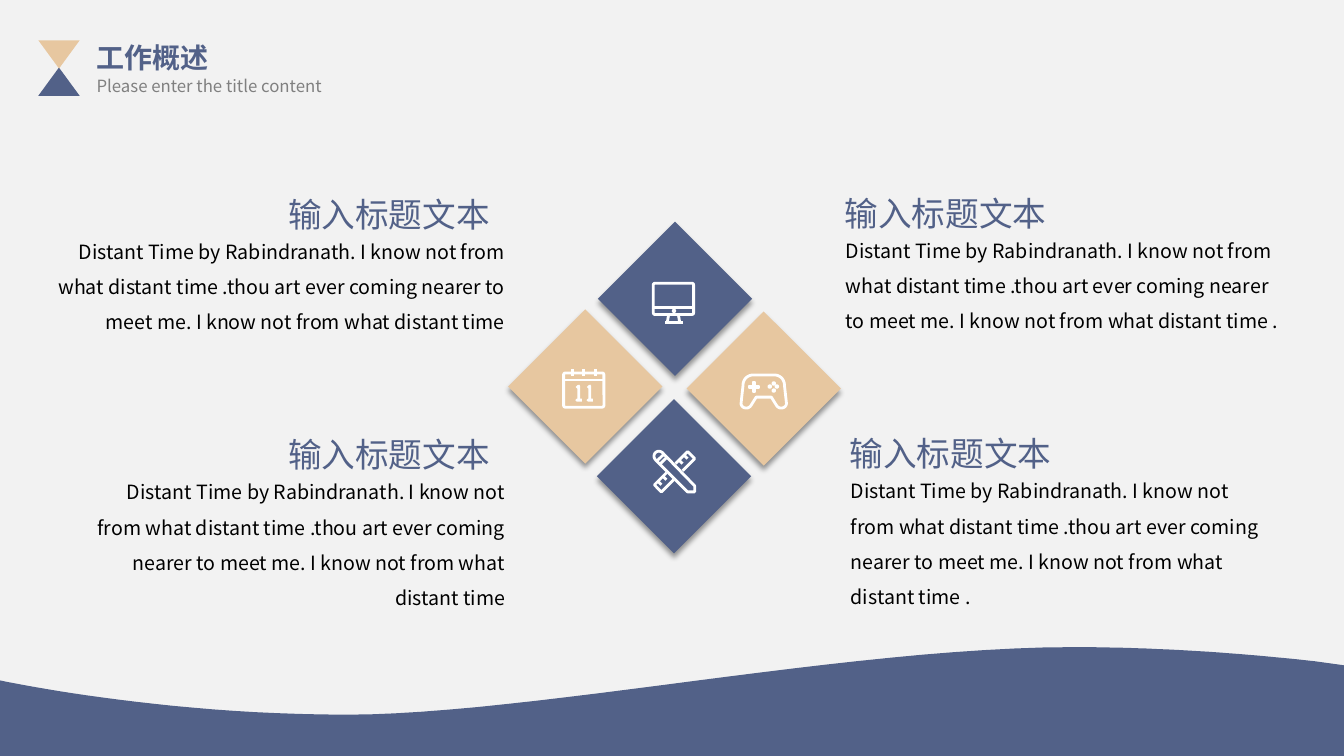
from lxml.etree import SubElement
from pptx import Presentation
from pptx.dml.color import RGBColor
from pptx.enum.shapes import MSO_CONNECTOR as CONN, MSO_SHAPE as SHAPE
from pptx.enum.text import MSO_ANCHOR, MSO_AUTO_SIZE, PP_ALIGN as AL
from pptx.oxml.ns import qn
from pptx.util import Inches, Pt

FONT = "Noto Sans CJK SC"
BLUE = RGBColor(0x52, 0x61, 0x88)
SAND = RGBColor(0xE7, 0xC7, 0xA0)
PAPER = RGBColor(0xF2, 0xF2, 0xF2)
GRAY = RGBColor(0x80, 0x80, 0x80)
WHITE = RGBColor(0xFF, 0xFF, 0xFF)
BLACK = RGBColor(0, 0, 0)

# Content
TITLE = "工作概述"
SUBTITLE = "Please enter the title content"
HEADING = "输入标题文本"
BODY = ("Distant Time by Rabindranath. I know not from what distant time .thou art "
        "ever coming nearer to meet me. I know not from what distant time")
# heading left, top; body left, width; alignment; ending
BLOCKS = [
    (2.76, 1.87, 0.46, 4.65, AL.RIGHT, ""),
    (8.28, 1.86, 8.29, 4.52, AL.LEFT, " ."),
    (2.76, 4.26, 0.71, 4.40, AL.RIGHT, ""),
    (8.33, 4.25, 8.34, 4.40, AL.LEFT, " ."),
]
HEADING_W, HEADING_H, BODY_DROP, BODY_H = 2.37, 0.5, 0.34, 1.51

# Diamonds: left, top, colour
DIAMOND = 1.53
DIAMONDS = [(5.93, 2.2, BLUE), (5.92, 3.96, BLUE), (5.04, 3.07, SAND), (6.81, 3.09, SAND)]

# Paths: a pair is a point, six numbers are a Bezier curve
WAVE = [(10.65, 6.42), (8.4, 6.42, 5.28, 7.09, 3.43, 7.09),
        (1.57, 7.09, 0, 6.75, 0, 6.75), (0, 7.5), (13.33, 7.5), (13.33, 6.6),
        (13.04, 6.56), (12.32, 6.48, 11.49, 6.42, 10.65, 6.42)]
MONITOR = [[(6.63, 3.13), (6.62, 3.19)], [(6.73, 3.13), (6.74, 3.19)],
           [(6.6, 3.2), (6.77, 3.2)], [(6.48, 3.05), (6.88, 3.05)]]
CALENDAR = [[(5.59, 3.77), (5.99, 3.77)]]
CALENDAR += [[(x, 3.66), (x, 3.73)] for x in (5.68, 5.79, 5.91)]
CALENDAR += [[(x - 0.02, 3.85), (x, 3.83), (x, 3.97), (x - 0.02, 3.97), (x + 0.03, 3.97)]
             for x in (5.74, 5.85)]
GAMEPAD = [
    [(7.68, 3.72), (7.73, 3.72, 7.78, 3.76, 7.78, 3.82), (7.8, 4),
     (7.8, 4.05, 7.73, 4.07, 7.7, 4.02), (7.65, 3.94), (7.5, 3.94), (7.45, 4.02),
     (7.42, 4.07, 7.35, 4.05, 7.35, 4), (7.37, 3.82),
     (7.37, 3.76, 7.42, 3.72, 7.47, 3.72), (7.68, 3.72)]]
TOOLS = [
    [(6.57, 4.49), (6.89, 4.82), (6.89, 4.88), (6.82, 4.88), (6.5, 4.56),
     (6.46, 4.51, 6.52, 4.45, 6.57, 4.49)],
    [(6.7, 4.6), (6.82, 4.48), (6.89, 4.55), (6.77, 4.67)],
    [(6.61, 4.69), (6.49, 4.81), (6.56, 4.88), (6.68, 4.76)],
    [(6.52, 4.57), (6.58, 4.51)], [(6.55, 4.6), (6.61, 4.54)]]
TOOLS += [[(x, y), (x + 0.03, y + 0.03)]
          for x, y in ((6.74, 4.57), (6.79, 4.52), (6.58, 4.73), (6.53, 4.78))]
FRAMES = [(6.48, 2.81, 0.4, 0.31), (5.59, 3.7, 0.4, 0.34)]
DOTS = [(6.67, 3.07), (7.66, 3.79), (7.66, 3.86), (7.69, 3.82), (7.62, 3.82)]

prs = Presentation()
prs.slide_width, prs.slide_height = Inches(13.33), Inches(7.5)
s = prs.slides.add_slide(prs.slide_layouts[5])
s.background.fill.solid()
s.background.fill.fore_color.rgb = PAPER


def paint(sp, fill=None, line=None, width=1):
    sp.shadow.inherit = False
    if fill is None:
        sp.fill.background()
    else:
        sp.fill.solid()
        sp.fill.fore_color.rgb = fill
    if line is None:
        sp.line.fill.background()
    else:
        sp.line.color.rgb = line
        sp.line.width = Pt(width)


def add_preset(kind, x, y, w, h, fill=None, line=None, width=1):
    sp = s.shapes.add_shape(kind, Inches(x), Inches(y), Inches(w), Inches(h))
    paint(sp, fill, line, width)
    return sp


def flatten(path, steps=24):
    points = [path[0]]
    for part in path[1:]:
        if len(part) == 2:
            points.append(part)
            continue
        nodes = [points[-1], part[:2], part[2:4], part[4:]]
        for t in (i / steps for i in range(1, steps + 1)):
            weights = ((1 - t) ** 3, 3 * t * (1 - t) ** 2, 3 * t * t * (1 - t), t ** 3)
            points.append(tuple(sum(w * n[k] for w, n in zip(weights, nodes))
                                for k in (0, 1)))
    return points


def add_outline(path, close=False):
    points = [(x * 1000, y * 1000) for x, y in flatten(path)]
    fb = s.shapes.build_freeform(*points[0], scale=914.4)
    fb.add_line_segments(points[1:], close=close)
    return fb.convert_to_shape()


def add_stroke(path):
    if len(path) > 2:
        paint(add_outline(path, path[0] == path[-1][-2:]), line=WHITE, width=2)
        return
    (x1, y1), (x2, y2) = path
    c = s.shapes.add_connector(CONN.STRAIGHT, *map(Inches, (x1, y1, x2, y2)))
    c.line.color.rgb = WHITE
    c.line.width = Pt(2)
    SubElement(c._element.spPr, qn("a:effectLst"))


def write(sp, text, size, color, align, bold=False, spacing=None):
    tf = sp.text_frame
    tf.word_wrap = True
    tf.auto_size = MSO_AUTO_SIZE.NONE
    tf.vertical_anchor = MSO_ANCHOR.TOP
    tf.text = text
    p = tf.paragraphs[0]
    p.alignment = align
    if spacing:
        p.line_spacing = spacing
    p.font.name, p.font.size, p.font.bold = FONT, Pt(size), bold
    p.font.color.rgb = color
    SubElement(p._p.pPr.find(qn("a:defRPr")), qn("a:ea"), typeface=FONT)


def add_text(x, y, w, h, *args, **kwargs):
    write(s.shapes.add_textbox(*map(Inches, (x, y, w, h))), *args, **kwargs)


# Wave at the foot
paint(add_outline(WAVE, close=True), BLUE)

# Title with hourglass
add_preset(SHAPE.ISOSCELES_TRIANGLE, 0.38, 0.67, 0.41, 0.28, BLUE)
add_preset(SHAPE.ISOSCELES_TRIANGLE, 0.38, 0.4, 0.41, 0.28, SAND).rotation = 180
title = s.shapes.title
title.left, title.top, title.width, title.height = map(Inches, (0.86, 0.35, 1.79, 0.44))
write(title, TITLE, 20, BLUE, AL.JUSTIFY, bold=True)
add_text(0.86, 0.7, 2.64, 0.3, SUBTITLE, 12, GRAY, AL.JUSTIFY)

# Diamonds with a soft shadow below
for x, y, color in DIAMONDS:
    sp = add_preset(SHAPE.DIAMOND, x, y, DIAMOND, DIAMOND, color)
    shadow = SubElement(sp._element.spPr.find(qn("a:effectLst")), qn("a:outerShdw"),
                        blurRad=str(Pt(4)), dist=str(Pt(3)), dir="5400000",
                        algn="t", rotWithShape="0")
    black = SubElement(shadow, qn("a:srgbClr"), val="000000")
    SubElement(black, qn("a:alpha"), val="40000")

# Icons
for frame in FRAMES:
    add_preset(SHAPE.ROUNDED_RECTANGLE, *frame, line=WHITE, width=2).adjustments[0] = 0.05
for path in MONITOR + CALENDAR + GAMEPAD + TOOLS:
    add_stroke(path)
add_preset(SHAPE.CROSS, 7.43, 3.79, 0.1, 0.1, WHITE, WHITE).adjustments[0] = 0.4
for x, y in DOTS:
    add_preset(SHAPE.OVAL, x, y, 0.03, 0.03, WHITE, WHITE)

# Text blocks
for head_x, top, body_x, body_w, align, ending in BLOCKS:
    add_text(head_x, top, HEADING_W, HEADING_H, HEADING, 24, BLUE, AL.JUSTIFY)
    add_text(body_x, top + BODY_DROP, body_w, BODY_H, BODY + ending, 14, BLACK, align,
             spacing=1.5)

prs.save("out.pptx")
